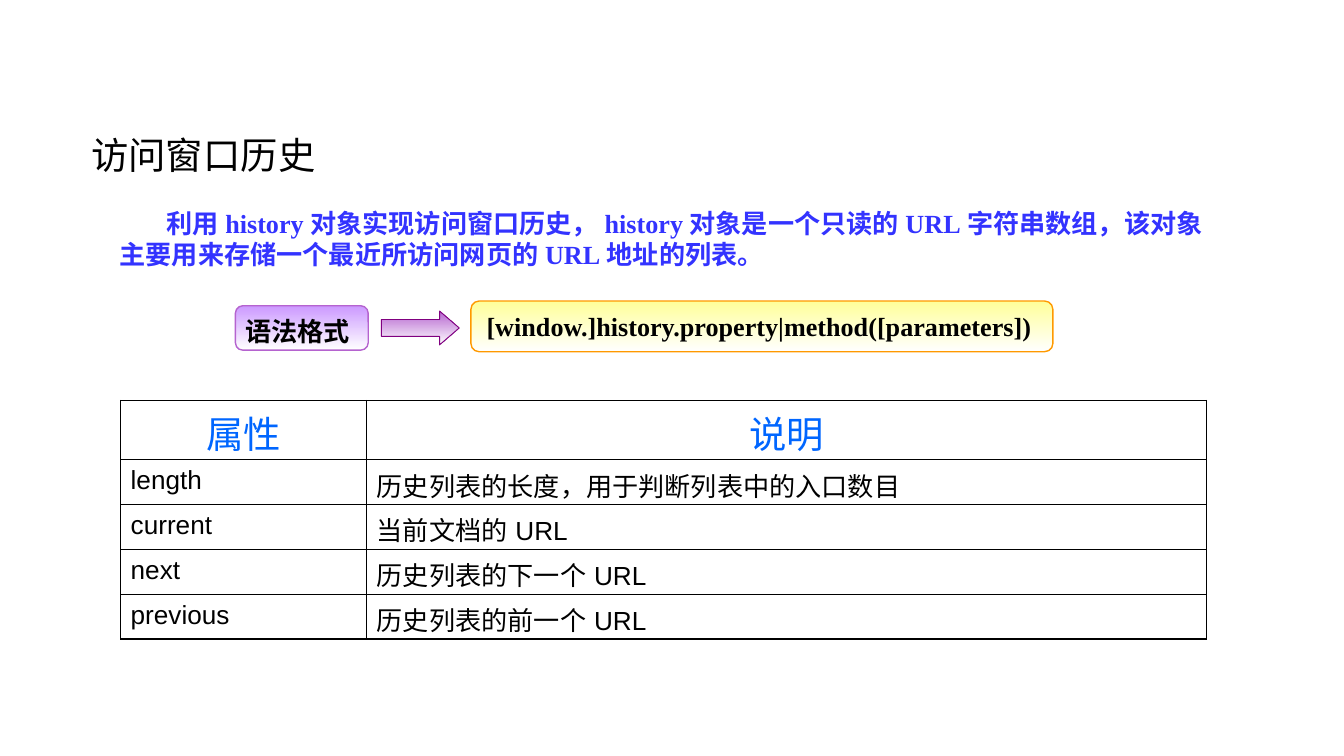
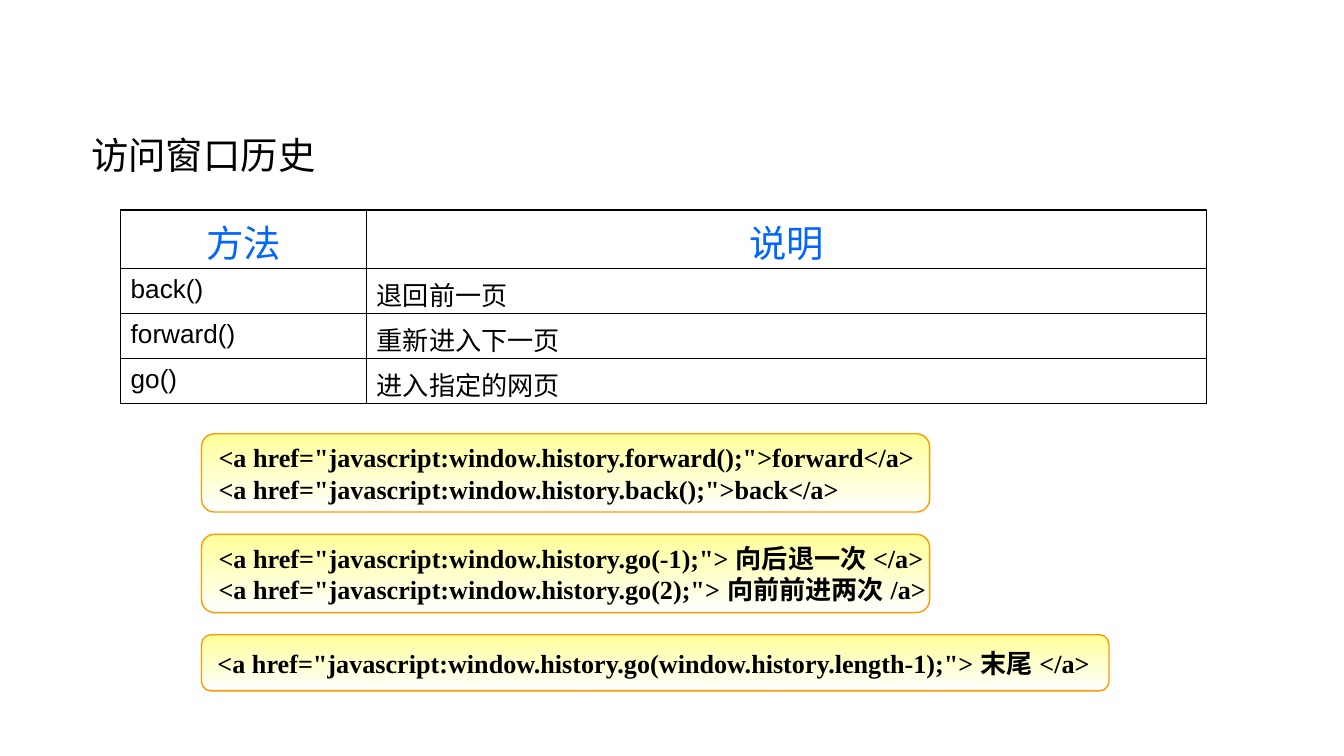
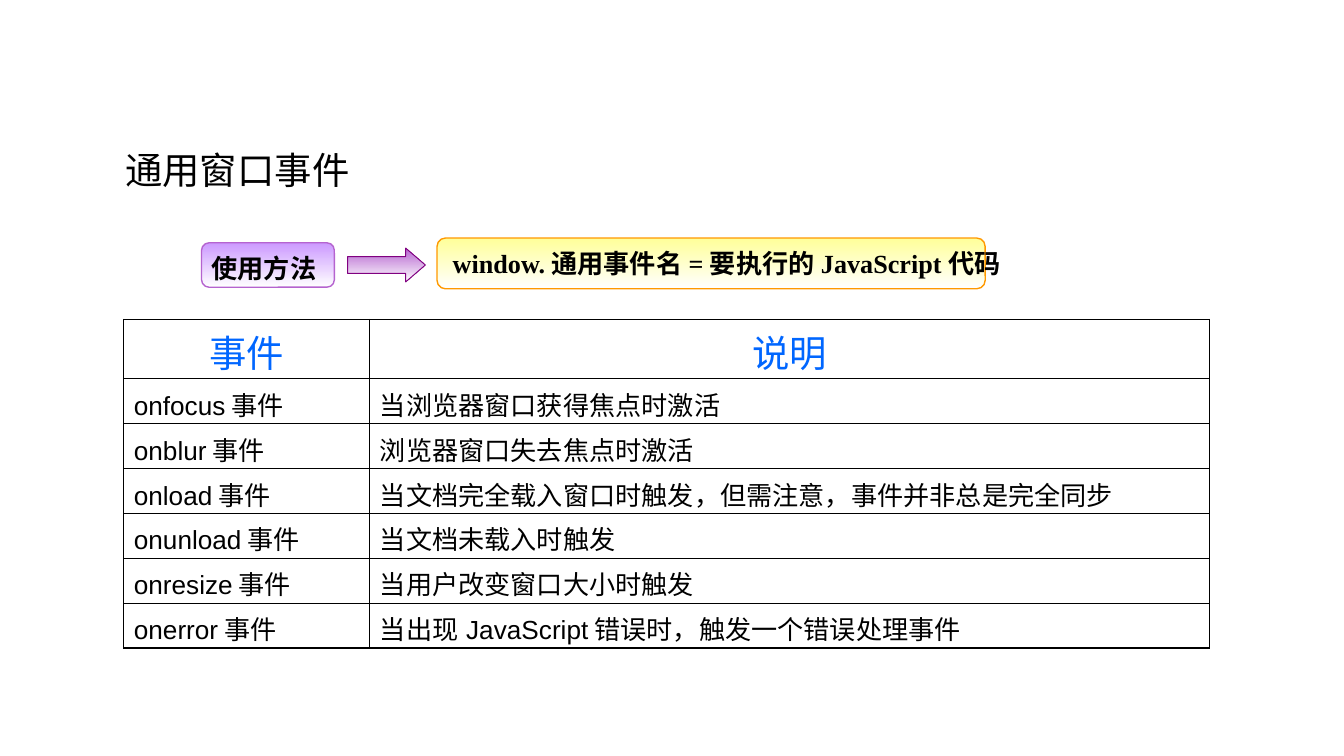
from lxml.etree import SubElement
from pptx import Presentation
from pptx.dml.color import RGBColor
from pptx.enum.shapes import MSO_SHAPE
from pptx.enum.text import MSO_ANCHOR, MSO_AUTO_SIZE, PP_ALIGN
from pptx.oxml.ns import qn
from pptx.util import Cm, Pt

BLACK = RGBColor(0x00, 0x00, 0x00)
WHITE = RGBColor(0xFF, 0xFF, 0xFF)
INTRO_BLUE = RGBColor(0x33, 0x33, 0xFF)
HEADER_BLUE = RGBColor(0x00, 0x66, 0xFF)
YELLOW = RGBColor(0xFF, 0xFF, 0x99)
ORANGE = RGBColor(0xFF, 0x99, 0x00)
LILAC = RGBColor(0xCC, 0x99, 0xFF)
VIOLET = RGBColor(0xB5, 0x63, 0xCF)
PURPLE = RGBColor(0x80, 0x00, 0x80)

SERIF = "Times New Roman"
SANS = "Arial"
COLUMN_WIDTHS = (4.65, 15.87)
HEADER_HEIGHT = 1.11
ROW_HEIGHT = 0.85


def style_paragraph(p, size, color=BLACK, name=SERIF, bold=False, align=PP_ALIGN.LEFT):
    p.alignment = align
    p.font.size = Pt(size)
    p.font.name = name
    p.font.bold = bold
    p.font.color.rgb = color


def add_titled_slide(prs, title, left=1.47, top=2.37, width=8.25):
    slide = prs.slides.add_slide(prs.slide_layouts[5])
    sp = slide.shapes.title
    sp.left, sp.top, sp.width, sp.height = Cm(left), Cm(top), Cm(width), Cm(1.11)
    tf = sp.text_frame
    tf.text = title
    tf.vertical_anchor = MSO_ANCHOR.TOP
    tf.auto_size = MSO_AUTO_SIZE.NONE
    style_paragraph(tf.paragraphs[0], 20)
    return slide


def add_intro(slide, text):
    sp = slide.shapes.add_textbox(Cm(2.01), Cm(3.79), Cm(21.08), Cm(1.45))
    tf = sp.text_frame
    tf.word_wrap = True
    tf.text = text
    p = tf.paragraphs[0]
    style_paragraph(p, 14, INTRO_BLUE, bold=True)
    p._p.get_or_add_pPr().set("indent", str(Cm(0.89)))


def add_gradient_shape(slide, kind, left, top, width, height, fill, line, line_width=0.75):
    sp = slide.shapes.add_shape(kind, Cm(left), Cm(top), Cm(width), Cm(height))
    sp.shadow.inherit = False
    sp.fill.gradient()
    sp.fill.gradient_angle = 270
    for stop, color in zip(sp.fill.gradient_stops, (fill, WHITE)):
        stop.color.rgb = color
    sp.line.color.rgb = line
    sp.line.width = Pt(line_width)
    return sp


def add_box(slide, text, left, top, width, height, fill=YELLOW, line=ORANGE,
            align=PP_ALIGN.LEFT):
    sp = add_gradient_shape(slide, MSO_SHAPE.ROUNDED_RECTANGLE,
                            left, top, width, height, fill, line)
    tf = sp.text_frame
    tf.word_wrap = False
    tf.vertical_anchor = MSO_ANCHOR.MIDDLE
    tf.text = text
    for p in tf.paragraphs:
        style_paragraph(p, 14, bold=True, align=align)
    return tf


def add_syntax(slide, label, code, left, top, code_width):
    add_box(slide, code, left + 4.45, top, code_width, 0.96)
    tf = add_box(slide, label, left, top + 0.09, 2.51, 0.84, LILAC, VIOLET, PP_ALIGN.CENTER)
    tf.margin_left, tf.margin_right = Cm(0.1), Cm(0.25)
    tf.margin_top, tf.margin_bottom = Cm(0.12), Cm(0)
    arrow = add_gradient_shape(slide, MSO_SHAPE.RIGHT_ARROW, left + 2.76, top + 0.19,
                               1.47, 0.64, VIOLET, PURPLE, 0.5)
    arrow.adjustments[1] = 0.58


def add_border(cell, side, width):
    ln = SubElement(cell._tc.get_or_add_tcPr(), qn(f"a:ln{side}"), w=str(Pt(width)))
    fill = SubElement(ln, qn("a:solidFill"))
    SubElement(fill, qn("a:srgbClr"), val=str(BLACK))


def add_grid(slide, rows, left, top):
    height = HEADER_HEIGHT + ROW_HEIGHT * (len(rows) - 1)
    table = slide.shapes.add_table(len(rows), 2, Cm(left), Cm(top),
                                   Cm(sum(COLUMN_WIDTHS)), Cm(height)).table
    table.first_row = False
    table.horz_banding = False
    for column, width in zip(table.columns, COLUMN_WIDTHS):
        column.width = Cm(width)
    last = len(rows) - 1
    for i, texts in enumerate(rows):
        table.rows[i].height = Cm(ROW_HEIGHT if i else HEADER_HEIGHT)
        for j, text in enumerate(texts):
            cell = table.cell(i, j)
            cell.text = text
            cell.vertical_anchor = MSO_ANCHOR.TOP
            cell.margin_top = Cm(0.12 if i else 0.08)
            cell.margin_bottom = Cm(0)
            outer = {"L": j == 0, "R": j == 1, "T": i == 0, "B": i == last}
            for side, is_outer in outer.items():
                add_border(cell, side, 0.75 if is_outer else 0.45)
            cell.fill.background()
            p = cell.text_frame.paragraphs[0]
            if i == 0:
                style_paragraph(p, 20, HEADER_BLUE, SANS, align=PP_ALIGN.CENTER)
            else:
                cell.margin_left = cell.margin_right = Cm(0.19)
                style_paragraph(p, 14, name=SANS, align=PP_ALIGN.JUSTIFY)


def add_properties_slide(prs):
    slide = add_titled_slide(prs, "访问窗口历史")
    add_intro(slide, "利用history对象实现访问窗口历史，history对象是一个只读的URL字符串数组，"
                     "该对象主要用来存储一个最近所访问网页的URL地址的列表。")
    add_syntax(slide, "语法格式", "[window.]history.property|method([parameters])",
               4.45, 5.69, 11)
    add_grid(slide, [
        ("属性", "说明"),
        ("length", "历史列表的长度，用于判断列表中的入口数目"),
        ("current", "当前文档的URL"),
        ("next", "历史列表的下一个URL"),
        ("previous", "历史列表的前一个URL"),
    ], 2.28, 7.57)


def add_methods_slide(prs):
    slide = add_titled_slide(prs, "访问窗口历史")
    add_grid(slide, [
        ("方法", "说明"),
        ("back()", "退回前一页"),
        ("forward()", "重新进入下一页"),
        ("go()", "进入指定的网页"),
    ], 2.28, 3.97)
    examples = [
        ('<a href="javascript:window.history.forward();">forward</a>\n'
         '<a href="javascript:window.history.back();">back</a>', 13.76, 1.48),
        ('<a href="javascript:window.history.go(-1);">向后退一次</a>\n'
         '<a href="javascript:window.history.go(2);">向前前进两次/a>', 13.76, 1.48),
        ('<a href="javascript:window.history.go(window.history.length-1);">末尾</a>',
         17.15, 1.06),
    ]
    for i, (code, width, height) in enumerate(examples):
        add_box(slide, code, 3.81, 8.2 + 1.9 * i, width, height)


def add_events_slide(prs):
    slide = add_titled_slide(prs, "通用窗口事件", 2.11, 2.65, 9.09)
    add_grid(slide, [
        ("事件", "说明"),
        ("onfocus事件", "当浏览器窗口获得焦点时激活"),
        ("onblur事件", "浏览器窗口失去焦点时激活"),
        ("onload事件", "当文档完全载入窗口时触发，但需注意，事件并非总是完全同步"),
        ("onunload事件", "当文档未载入时触发"),
        ("onresize事件", "当用户改变窗口大小时触发"),
        ("onerror事件", "当出现JavaScript错误时，触发一个错误处理事件"),
    ], 2.34, 6.04)
    add_syntax(slide, "使用方法", "window.通用事件名=要执行的JavaScript代码",
               3.81, 4.5, 10.36)


def main():
    prs = Presentation()
    prs.slide_width, prs.slide_height = Cm(25.4), Cm(14.29)
    add_properties_slide(prs)
    add_methods_slide(prs)
    add_events_slide(prs)
    prs.save("out.pptx")


if __name__ == "__main__":
    main()
